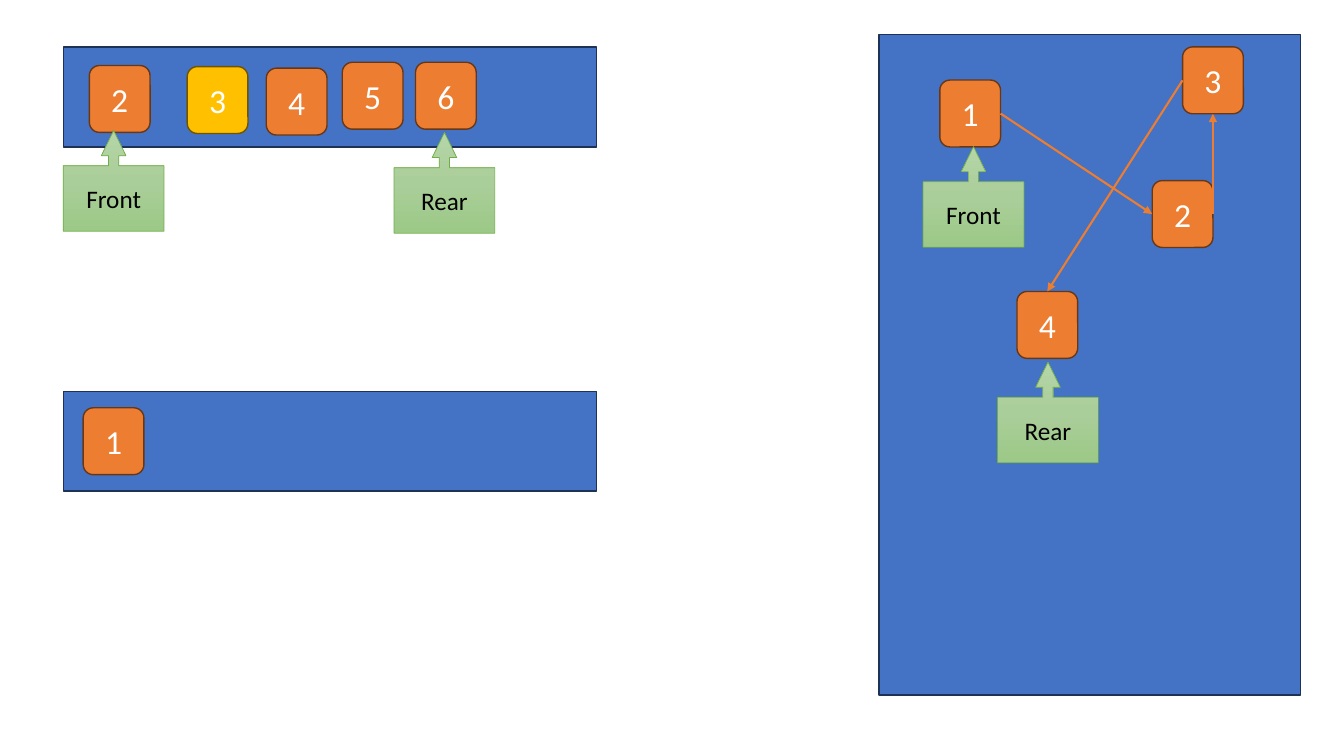
from copy import deepcopy
from dataclasses import dataclass
from itertools import pairwise

from pptx import Presentation
from pptx.dml.color import RGBColor
from pptx.enum.shapes import MSO_CONNECTOR as Connector, MSO_SHAPE as Preset
from pptx.enum.text import MSO_ANCHOR as Anchor, PP_ALIGN as Align
from pptx.oxml.ns import qn
from pptx.oxml.xmlchemy import OxmlElement
from pptx.shapes.autoshape import Shape
from pptx.slide import Slide
from pptx.util import Pt


@dataclass(frozen=True)
class Theme:
    font: str = "Calibri"
    number_size: float = 24
    pointer_size: float = 18
    number_color: str = "FFFFFF"
    pointer_color: str = "000000"
    panel_fill: str = "4472C4"
    panel_line: str = "1E3256"
    tile_fill: str = "ED7D31"
    tile_line: str = "683715"
    marked_fill: str = "FFC000"
    marked_line: str = "705400"
    pointer_fills: tuple[str, ...] = ("B5D5A7", "AACE9A", "9CC987")
    pointer_line: str = "70AD47"


@dataclass(frozen=True)
class Panel:
    left: float
    top: float
    width: float
    height: float


@dataclass(frozen=True)
class Tile:
    number: int
    left: float
    top: float
    marked: bool = False


@dataclass(frozen=True)
class Pointer:
    label: str
    left: float
    top: float


THEME = Theme()
TILE_WIDTH, TILE_HEIGHT = 43.4, 47.8
POINTER_SIZE = 72
POINTER_ADJUSTMENTS = (0.101, 0.122, 0.25, 0.65)
TOP, LEFT, BOTTOM, RIGHT = range(4)

PANELS = [
    Panel(45.2, 279.6, 380.9, 71.2),
    Panel(628, 24.6, 300.8, 471.8),
    Panel(45.2, 33.5, 380.9, 71.6),
]
QUEUE_TILES = [
    Tile(2, 63.8, 46.8),
    Tile(3, 133.7, 47.6, marked=True),
    Tile(4, 190.2, 48.7),
    Tile(5, 244.5, 44.5),
    Tile(6, 296.8, 44.5),
    Tile(1, 59.4, 291.3),
]
LINKED_TILES = [
    Tile(1, 671.3, 57.2),
    Tile(2, 823, 129),
    Tile(3, 844.7, 33.5),
    Tile(4, 726.4, 208.2),
]
LINK_SIDES = [(RIGHT, LEFT), (RIGHT, BOTTOM), (LEFT, TOP)]
POINTERS = [
    Pointer("Front", 659.4, 104.7),
    Pointer("Rear", 712.6, 258.6),
    Pointer("Front", 45.2, 93.2),
    Pointer("Rear", 281.5, 94.6),
]


def color(value: str) -> RGBColor:
    return RGBColor.from_string(value)


def add_outlined_shape(slide: Slide, preset: Preset, box: tuple[float, ...],
                       line: str, line_width: float = 1) -> Shape:
    shape = slide.shapes.add_shape(preset, *map(Pt, box))
    shape.shadow.inherit = False
    shape.line.color.rgb = color(line)
    shape.line.width = Pt(line_width)
    return shape


def fill_solid(shape: Shape, value: str) -> None:
    shape.fill.solid()
    shape.fill.fore_color.rgb = color(value)


def fill_downward(shape: Shape, values: tuple[str, ...]) -> None:
    """Fill with a top-to-bottom gradient of three evenly spaced colours."""
    shape.fill.gradient()
    shape.fill.gradient_angle = 270
    stop_list = shape._element.spPr.find(".//" + qn("a:gsLst"))
    stop_list.append(deepcopy(stop_list[0]))
    for index, (stop, value) in enumerate(zip(shape.fill.gradient_stops, values)):
        stop.position = index / (len(values) - 1)
        stop.color.rgb = color(value)


def write(shape: Shape, text: str, *, size: float, text_color: str) -> None:
    frame = shape.text_frame
    frame.vertical_anchor = Anchor.MIDDLE
    paragraph = frame.paragraphs[0]
    paragraph.alignment = Align.CENTER
    run = paragraph.add_run()
    run.text = text
    run.font.name = THEME.font
    run.font.size = Pt(size)
    run.font.color.rgb = color(text_color)


def add_panel(slide: Slide, panel: Panel) -> None:
    box = (panel.left, panel.top, panel.width, panel.height)
    shape = add_outlined_shape(slide, Preset.RECTANGLE, box, THEME.panel_line)
    fill_solid(shape, THEME.panel_fill)


def add_tile(slide: Slide, tile: Tile) -> Shape:
    box = (tile.left, tile.top, TILE_WIDTH, TILE_HEIGHT)
    line = THEME.marked_line if tile.marked else THEME.tile_line
    shape = add_outlined_shape(slide, Preset.ROUNDED_RECTANGLE, box, line)
    fill_solid(shape, THEME.marked_fill if tile.marked else THEME.tile_fill)
    write(shape, str(tile.number), size=THEME.number_size,
          text_color=THEME.number_color)
    return shape


def add_pointer(slide: Slide, pointer: Pointer) -> None:
    box = (pointer.left, pointer.top, POINTER_SIZE, POINTER_SIZE)
    shape = add_outlined_shape(slide, Preset.UP_ARROW_CALLOUT, box,
                               THEME.pointer_line, 0.5)
    for index, value in enumerate(POINTER_ADJUSTMENTS):
        shape.adjustments[index] = value
    fill_downward(shape, THEME.pointer_fills)
    write(shape, pointer.label, size=THEME.pointer_size,
          text_color=THEME.pointer_color)


def add_link(slide: Slide, start: Shape, end: Shape, sides: tuple[int, int]) -> None:
    link = slide.shapes.add_connector(Connector.STRAIGHT, 0, 0, 0, 0)
    link.begin_connect(start, sides[0])
    link.end_connect(end, sides[1])
    link.line.color.rgb = color(THEME.tile_fill)
    link.line.width = Pt(1.5)
    arrowhead = OxmlElement("a:tailEnd")
    arrowhead.set("type", "triangle")
    link.line._get_or_add_ln().append(arrowhead)
    link._element.spPr.append(OxmlElement("a:effectLst"))


def main() -> None:
    presentation = Presentation()
    presentation.slide_width, presentation.slide_height = Pt(960), Pt(540)
    slide = presentation.slides.add_slide(presentation.slide_layouts[6])
    for panel in PANELS:
        add_panel(slide, panel)
    for tile in QUEUE_TILES:
        add_tile(slide, tile)
    nodes = [add_tile(slide, tile) for tile in LINKED_TILES]
    for pointer in POINTERS:
        add_pointer(slide, pointer)
    for (start, end), sides in zip(pairwise(nodes), LINK_SIDES):
        add_link(slide, start, end, sides)
    presentation.save("out.pptx")


if __name__ == "__main__":
    main()
